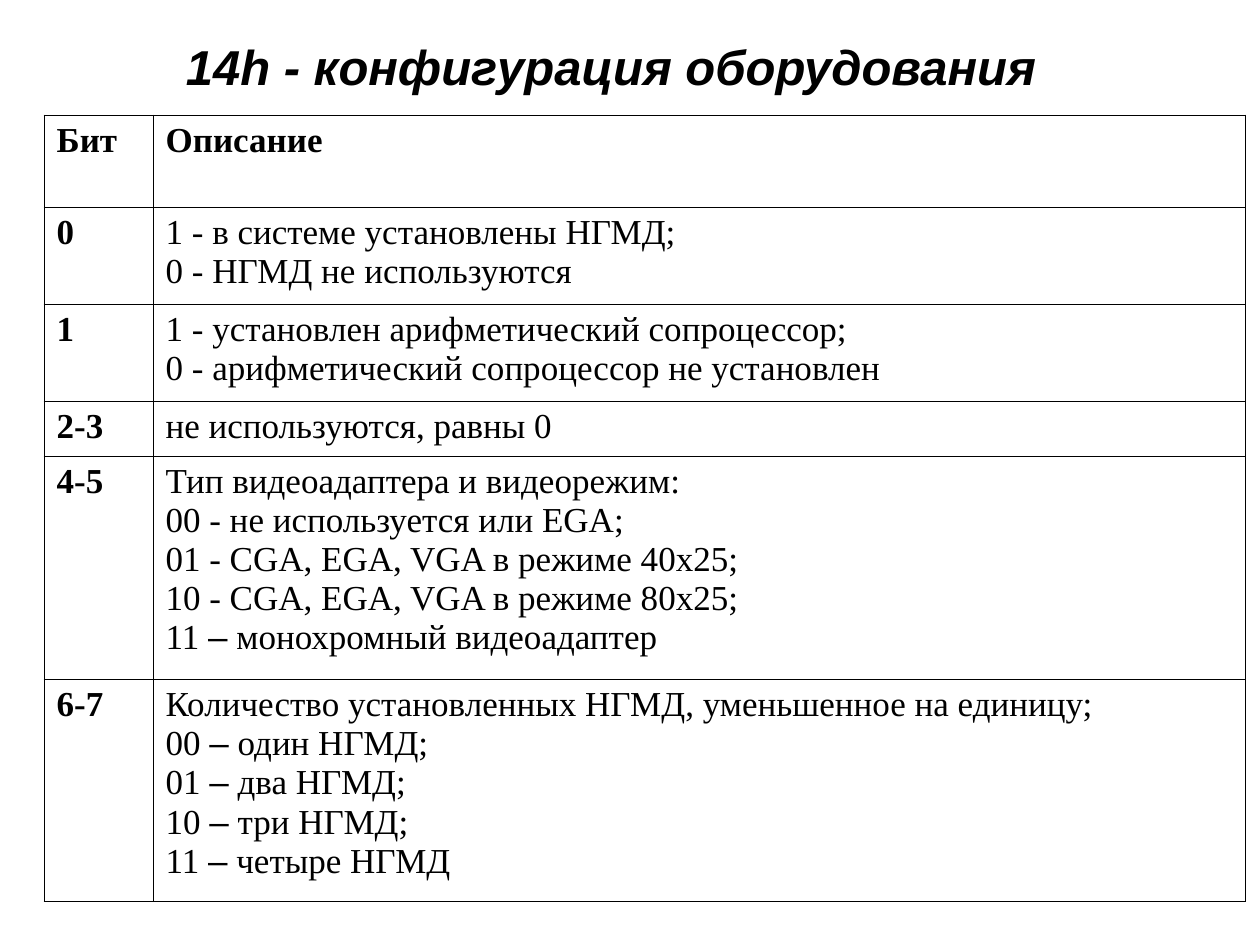
import lxml.etree
import pptx
import pptx.dml.color
import pptx.enum.text
import pptx.oxml.ns
import pptx.util

EMU_PER_PX = 914400 / 126
BORDER_WIDTH = pptx.util.Pt(0.45)
DASH = "–"

BITS = [
    ("Бит", 92, "Описание"),
    ("0", 97, "1 - в системе установлены НГМД;\n0 - НГМД не используются"),
    ("1", 97, "1 - установлен арифметический сопроцессор;\n"
              "0 - арифметический сопроцессор не установлен"),
    ("2-3", 55, "не используются, равны 0"),
    ("4-5", 223, "Тип видеоадаптера и видеорежим:\n"
                 "00 - не используется или EGA;\n"
                 "01 - CGA, EGA, VGA в режиме 40x25;\n"
                 "10 - CGA, EGA, VGA в режиме 80x25;\n"
                 "11 – монохромный видеоадаптер"),
    ("6-7", 223, "Количество установленных НГМД, уменьшенное на единицу;\n"
                 "00 – один НГМД;\n"
                 "01 – два НГМД;\n"
                 "10 – три НГМД;\n"
                 "11 – четыре НГМД"),
]


def px(length):
    return pptx.util.Emu(round(length * EMU_PER_PX))


def color(value):
    return pptx.dml.color.RGBColor.from_string(value)


class SlideWriter:
    heading_font = "Arial"
    body_font = "Times New Roman"
    ink = "000000"
    heading_size = 28
    body_size = 20
    hanging = 48

    def __init__(self, slide):
        self.slide = slide

    def format_run(self, run, name, size, bold, italic=False):
        run.font.name = name
        run.font.size = pptx.util.Pt(size)
        run.font.bold = bold
        run.font.italic = italic
        run.font.color.rgb = color(self.ink)

    def title(self, text, left, top, width, height):
        heading = self.slide.shapes.add_textbox(px(left), px(top), px(width), px(height))
        frame = heading.text_frame
        frame.word_wrap = True
        frame.vertical_anchor = pptx.enum.text.MSO_ANCHOR.MIDDLE
        frame.text = text
        paragraph = frame.paragraphs[0]
        paragraph.alignment = pptx.enum.text.PP_ALIGN.CENTER
        self.format_run(paragraph.runs[0], self.heading_font, self.heading_size, True, True)

    def borders(self, cell):
        properties = cell._tc.get_or_add_tcPr()
        qn = pptx.oxml.ns.qn
        for side in ("a:lnL", "a:lnR", "a:lnT", "a:lnB"):
            line = lxml.etree.SubElement(properties, qn(side), w=str(BORDER_WIDTH))
            fill = lxml.etree.SubElement(line, qn("a:solidFill"))
            lxml.etree.SubElement(fill, qn("a:srgbClr"), val=self.ink)

    def cell(self, cell, text, bold):
        self.borders(cell)
        cell.fill.background()
        cell.text_frame.text = text
        for paragraph in cell.text_frame.paragraphs:
            properties = paragraph._p.get_or_add_pPr()
            properties.set("marL", str(px(self.hanging)))
            properties.set("indent", str(-px(self.hanging)))
            before, dash, after = paragraph.text.partition(DASH)
            if dash:
                paragraph.runs[0].text = before
                paragraph.add_run().text = dash
                paragraph.add_run().text = after
            for run in paragraph.runs:
                name = self.heading_font if run.text == DASH else self.body_font
                self.format_run(run, name, self.body_size, bold)

    def table(self, rows, left, top, column_widths):
        heights = [height for _, height, _ in rows]
        table = self.slide.shapes.add_table(
            len(rows), len(column_widths), px(left), px(top),
            px(sum(column_widths)), px(sum(heights))).table
        table.first_row = False
        table.horz_banding = False
        for column, width in zip(table.columns, column_widths):
            column.width = px(width)
        for index, (bit, height, description) in enumerate(rows):
            table.rows[index].height = px(height)
            self.cell(table.cell(index, 0), bit, True)
            self.cell(table.cell(index, 1), description, index == 0)


def main():
    deck = pptx.Presentation()
    deck.slide_width = px(1260)
    deck.slide_height = px(945)
    writer = SlideWriter(deck.slides.add_slide(deck.slide_layouts[6]))
    writer.title("14h - конфигурация оборудования", 44, 27, 1134, 77)
    writer.table(BITS, 44, 115, [109, 1092])
    deck.save("out.pptx")


if __name__ == "__main__":
    main()
